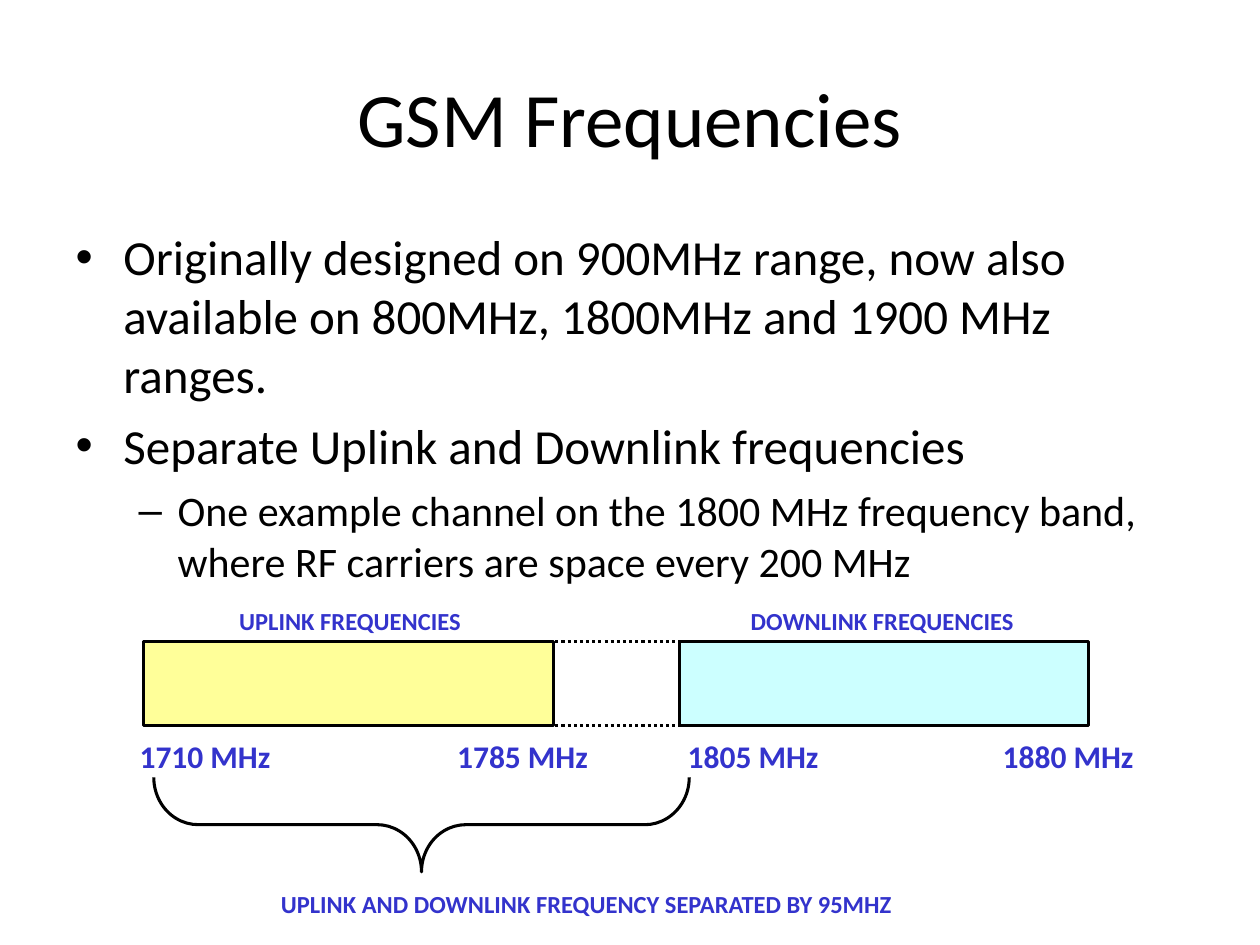
from dataclasses import dataclass

from lxml import etree
from pptx import Presentation
from pptx.dml.color import RGBColor
from pptx.enum.dml import MSO_LINE
from pptx.enum.shapes import MSO_CONNECTOR, MSO_SHAPE
from pptx.enum.text import MSO_ANCHOR, MSO_AUTO_SIZE, PP_ALIGN
from pptx.oxml.ns import qn
from pptx.util import Inches, Pt

RECTANGLE, BRACE = MSO_SHAPE.RECTANGLE, MSO_SHAPE.RIGHT_BRACE
STRAIGHT, DOTTED = MSO_CONNECTOR.STRAIGHT, MSO_LINE.ROUND_DOT
CENTER, MIDDLE, TOP = PP_ALIGN.CENTER, MSO_ANCHOR.MIDDLE, MSO_ANCHOR.TOP
NO_FIT, GROW = MSO_AUTO_SIZE.NONE, MSO_AUTO_SIZE.SHAPE_TO_FIT_TEXT


@dataclass(frozen=True)
class Theme:
    font: str = "Calibri"
    ink: str = "000000"
    label: str = "3333CC"
    uplink: str = "FFFF99"
    downlink: str = "CCFFFF"
    title_size: int = 44
    frequency_size: int = 18
    caption_size: int = 14
    line_width: float = 1.75


LEVELS = [
    {"size": 28, "before": 7, "bullet": "•", "margin": 0.38, "hanging": 0.38},
    {"size": 24, "before": 6, "bullet": "–", "margin": 0.81, "hanging": 0.31},
]


class SlideBuilder:
    def __init__(self, slide, theme):
        self.slide = slide
        self.theme = theme

    def place(self, shape, area):
        for name, value in zip(("left", "top", "width", "height"), area):
            setattr(shape, name, Inches(value))

    def add_text(self, para, text, size, color, bold=False):
        span = para.add_run()
        span.text = text
        formats = {"name": self.theme.font, "size": Pt(size), "bold": bold}
        for name, value in formats.items():
            setattr(span.font, name, value)
        span.font.color.rgb = RGBColor.from_string(color)

    def outline(self, shape):
        shape.line.color.rgb = RGBColor.from_string(self.theme.ink)
        shape.line.width = Pt(self.theme.line_width)

    def title(self, text, area):
        box = self.slide.shapes.title
        self.place(box, area)
        frame = box.text_frame
        frame.auto_size, frame.vertical_anchor = NO_FIT, MIDDLE
        frame.paragraphs[0].alignment = CENTER
        self.add_text(frame.paragraphs[0], text, self.theme.title_size, self.theme.ink)

    def bullets(self, items, area):
        box = self.slide.placeholders[1]
        self.place(box, area)
        frame = box.text_frame
        frame.auto_size, frame.vertical_anchor = NO_FIT, TOP
        for index, (level, text) in enumerate(items):
            para = frame.add_paragraph() if index else frame.paragraphs[0]
            style = LEVELS[level]
            para.level = level
            properties = para._p.get_or_add_pPr()
            properties.set("marL", str(Inches(style["margin"])))
            properties.set("indent", str(-Inches(style["hanging"])))
            etree.SubElement(properties, qn("a:buFont"), typeface="Arial")
            etree.SubElement(properties, qn("a:buChar"), char=style["bullet"])
            para.space_before = Pt(style["before"] if index else 0)
            self.add_text(para, text, style["size"], self.theme.ink)

    def label(self, text, area, size):
        box = self.slide.shapes.add_textbox(*map(Inches, area))
        frame = box.text_frame
        frame.word_wrap, frame.auto_size = False, GROW
        self.add_text(frame.paragraphs[0], text, size, self.theme.label, True)

    def band(self, area, color):
        band = self.slide.shapes.add_shape(RECTANGLE, *map(Inches, area))
        band.shadow.inherit = False
        band.fill.solid()
        band.fill.fore_color.rgb = RGBColor.from_string(color)
        self.outline(band)

    def dotted_line(self, left, right, height):
        ends = (left, height, right, height)
        line = self.slide.shapes.add_connector(STRAIGHT, *map(Inches, ends))
        self.outline(line)
        line.line.dash_style = DOTTED
        etree.SubElement(line._element.spPr, qn("a:effectLst"))

    def brace(self, area):
        brace = self.slide.shapes.add_shape(BRACE, *map(Inches, area))
        brace.shadow.inherit = False
        brace.rotation = 90
        brace.adjustments[0] = 0.47
        brace.fill.background()
        self.outline(brace)


def main():
    theme = Theme()
    deck = Presentation()
    deck.slide_width, deck.slide_height = Inches(10), Inches(7.5)
    page = SlideBuilder(deck.slides.add_slide(deck.slide_layouts[1]), theme)

    page.title("GSM Frequencies", (0.5, 0.3, 9, 1.25))
    page.bullets([
        (0, "Originally designed on 900MHz range, now also available on "
            "800MHz, 1800MHz and 1900 MHz ranges."),
        (0, "Separate Uplink and Downlink frequencies"),
        (1, "One example channel on the 1800 MHz frequency band, where RF "
            "carriers are space every 200 MHz"),
    ], (0.5, 1.75, 9, 4.95))

    band_top, band_height = 5.09, 0.67
    for left, color in ((1.14, theme.uplink), (5.39, theme.downlink)):
        page.band((left, band_top, 3.25, band_height), color)
    for height in (band_top, band_top + band_height):
        page.dotted_line(4.31, 5.47, height)

    frequencies = {1710: 1.01, 1785: 3.53, 1805: 5.36, 1880: 7.86}
    for frequency, left in frequencies.items():
        page.label(f"{frequency} MHz", (left, 5.8, 1.24, 0.4), theme.frequency_size)

    captions = [
        ("UPLINK FREQUENCIES", 1.8, 4.76, 1.96),
        ("DOWNLINK FREQUENCIES", 5.86, 4.76, 2.29),
        ("UPLINK AND DOWNLINK FREQUENCY SEPARATED BY 95MHZ", 2.13, 7.01, 5.09),
    ]
    for text, left, top, width in captions:
        page.label(text, (left, top, width, 0.34), theme.caption_size)
    page.brace((2.97, 4.42, 0.75, 4.25))

    deck.save("out.pptx")


if __name__ == "__main__":
    main()
